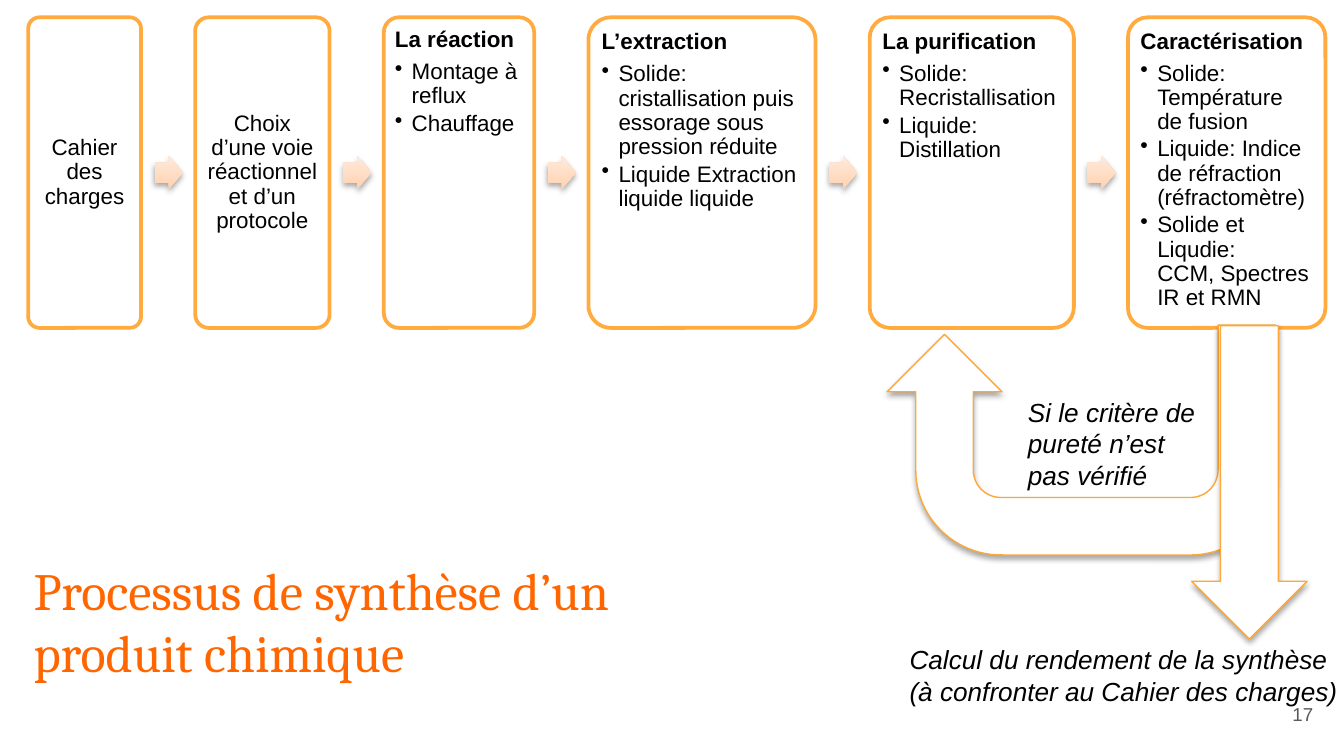
from copy import deepcopy

from lxml import etree
from pptx import Presentation
from pptx.dml.color import RGBColor
from pptx.enum import shapes, text
from pptx.oxml import ns
from pptx.util import Pt

COLORS = {
    "ink": "000000",
    "paper": "FFFFFF",
    "border": "FFAB40",
    "outline": "FEA83A",
    "arrow_start": "FFD2B0",
    "arrow_end": "FFEADC",
    "title": "FF6600",
    "number": "595959",
}

TITLE = "Processus de synthèse d’un produit chimique"
# (box width, heading, bullets)
STEPS = [
    (60.5, "Cahier des charges", []),
    (72, "Choix d’une voie réactionnel et d’un protocole", []),
    (80.6, "La réaction", ["Montage à reflux", "Chauffage"]),
    (121.7, "L’extraction", [
        "Solide: cristallisation puis essorage sous pression réduite",
        "Liquide Extraction liquide liquide",
    ]),
    (109.4, "La purification", ["Solide: Recristallisation", "Liquide: Distillation"]),
    (105.8, "Caractérisation", [
        "Solide: Température de fusion",
        "Liquide: Indice de réfraction (réfractomètre)",
        "Solide et Liqudie: \vCCM, Spectres IR et RMN",
    ]),
]
RETRY = ["Si le critère de pureté n’est pas vérifié"]
YIELD = ["Calcul du rendement de la synthèse", "(à confronter au Cahier des charges)"]

BOX_LEFT, BOX_TOP, BOX_HEIGHT, BOX_GAP = 15.1, 9.3, 166.4, 29
ARROW_OFFSET, ARROW_WIDTH, ARROW_HEIGHT = 7.2, 15.1, 18
BULLET_INDENT = 9


def rgb(name):
    return RGBColor.from_string(COLORS[name])


def add_xml(parent, tag, **attributes):
    return etree.SubElement(parent, ns.qn(tag), attributes)


def add_bullet(paragraph):
    properties = paragraph._p.get_or_add_pPr()
    properties.set("marL", str(Pt(BULLET_INDENT)))
    properties.set("indent", str(-Pt(BULLET_INDENT)))
    color = add_xml(properties, "a:buClr")
    add_xml(color, "a:srgbClr", val=COLORS["ink"])
    add_xml(properties, "a:buChar", char="•")


def write_text(frame, content, size=12, font="Arial", color="ink", bold=False,
               italic=False, align="LEFT", spacing=None, after=0, bullet=False):
    """Write one paragraph, after any text the frame already holds."""
    paragraph = frame.add_paragraph() if frame.text else frame.paragraphs[0]
    paragraph.text = content
    paragraph.alignment = getattr(text.PP_ALIGN, align)
    paragraph.line_spacing = spacing
    paragraph.space_after = Pt(after)
    for run in paragraph.runs:
        run.font.size = Pt(size)
        run.font.name = font
        run.font.bold = bold
        run.font.italic = italic
        run.font.color.rgb = rgb(color)
    for line_break in paragraph._p.findall(ns.qn("a:br")):
        line_break.append(deepcopy(paragraph.runs[0]._r.rPr))
    if bullet:
        add_bullet(paragraph)


def set_frame(frame, anchor="TOP", wrap=True, inset=None):
    frame.word_wrap = wrap
    frame.auto_size = text.MSO_AUTO_SIZE.NONE
    frame.vertical_anchor = getattr(text.MSO_ANCHOR, anchor)
    if inset is not None:
        frame.margin_left = frame.margin_right = Pt(inset)
        frame.margin_top = frame.margin_bottom = Pt(inset)


def add_shape(slide, kind, bounds, adjustments=(), line=None, line_width=0.75,
              rotation=0, shadow=False):
    shape = slide.shapes.add_shape(kind, *map(Pt, bounds))
    shape.rotation = rotation
    for index, value in enumerate(adjustments):
        shape.adjustments[index] = value
    shape.fill.solid()
    shape.fill.fore_color.rgb = rgb("paper")
    if line:
        shape.line.color.rgb = rgb(line)
        shape.line.width = Pt(line_width)
    else:
        shape.line.fill.background()
    shape.shadow.inherit = False
    if shadow:
        effects = shape._element.spPr.find(ns.qn("a:effectLst"))
        outer = add_xml(effects, "a:outerShdw", blurRad=str(Pt(3.1)), dist=str(Pt(1.8)),
                        dir="5400000", rotWithShape="0")
        color = add_xml(outer, "a:srgbClr", val=COLORS["ink"])
        add_xml(color, "a:alpha", val="35000")
    return shape


def add_step(slide, left, width, heading, bullets):
    box = add_shape(slide, shapes.MSO_SHAPE.ROUNDED_RECTANGLE,
                    (left, BOX_TOP, width, BOX_HEIGHT), [0.1], "border", 2)
    frame = box.text_frame
    set_frame(frame, "TOP" if bullets else "MIDDLE", inset=3.6)
    write_text(frame, heading, bold=bool(bullets), spacing=0.9, after=4.2,
               align="LEFT" if bullets else "CENTER")
    for item in bullets:
        write_text(frame, item, spacing=0.9, after=1.8, bullet=True)


def add_step_arrow(slide, left):
    top = BOX_TOP + (BOX_HEIGHT - ARROW_HEIGHT) / 2
    arrow = add_shape(slide, shapes.MSO_SHAPE.RIGHT_ARROW,
                      (left, top, ARROW_WIDTH, ARROW_HEIGHT), [0.6, 0.5], shadow=True)
    arrow.fill.gradient()
    arrow.fill.gradient_angle = 90
    for stop, name in zip(arrow.fill.gradient_stops, ("arrow_start", "arrow_end")):
        stop.color.rgb = rgb(name)
    for stop, position in zip(arrow.fill.gradient_stops, (0, 1)):
        stop.position = position


def add_text(slide, bounds, lines, anchor="TOP", wrap=True, inset=None, **style):
    frame = slide.shapes.add_textbox(*map(Pt, bounds)).text_frame
    set_frame(frame, anchor, wrap, inset)
    for line in lines:
        write_text(frame, line, **style)


def add_title(slide):
    title = slide.shapes.title
    title.left, title.top, title.width, title.height = map(Pt, (10.8, 295.2, 347.8, 74.9))
    set_frame(title.text_frame)
    write_text(title.text_frame, TITLE, size=28, font="Cambria", color="title")


def main():
    presentation = Presentation()
    presentation.slide_width, presentation.slide_height = Pt(720), Pt(405)
    slide = presentation.slides.add_slide(presentation.slide_layouts[5])

    add_text(slide, (667.4, 367.2, 43.2, 31), ["17"], anchor="MIDDLE", inset=7.2,
             size=10, color="number", align="RIGHT")

    left = BOX_LEFT
    for index, (width, heading, bullets) in enumerate(STEPS):
        if index:
            add_step_arrow(slide, left - BOX_GAP + ARROW_OFFSET)
        add_step(slide, left, width, heading, bullets)
        left += width + BOX_GAP

    add_shape(slide, shapes.MSO_SHAPE.U_TURN_ARROW, (475.2, 174.2, 208.1, 123.1),
              [0.25, 0.25, 0.25, 0.37, 0.96], "outline", rotation=180, shadow=True)
    add_text(slide, (543.6, 208.8, 110.2, 58.3), RETRY, size=14, italic=True)
    add_shape(slide, shapes.MSO_SHAPE.LEFT_ARROW, (585.4, 227.5, 167.8, 61.9),
              line="outline", rotation=270, shadow=True)
    add_text(slide, (480.2, 341.3, 249.1, 41), YIELD, wrap=False, size=14, italic=True)
    add_title(slide)

    presentation.save("out.pptx")


if __name__ == "__main__":
    main()
